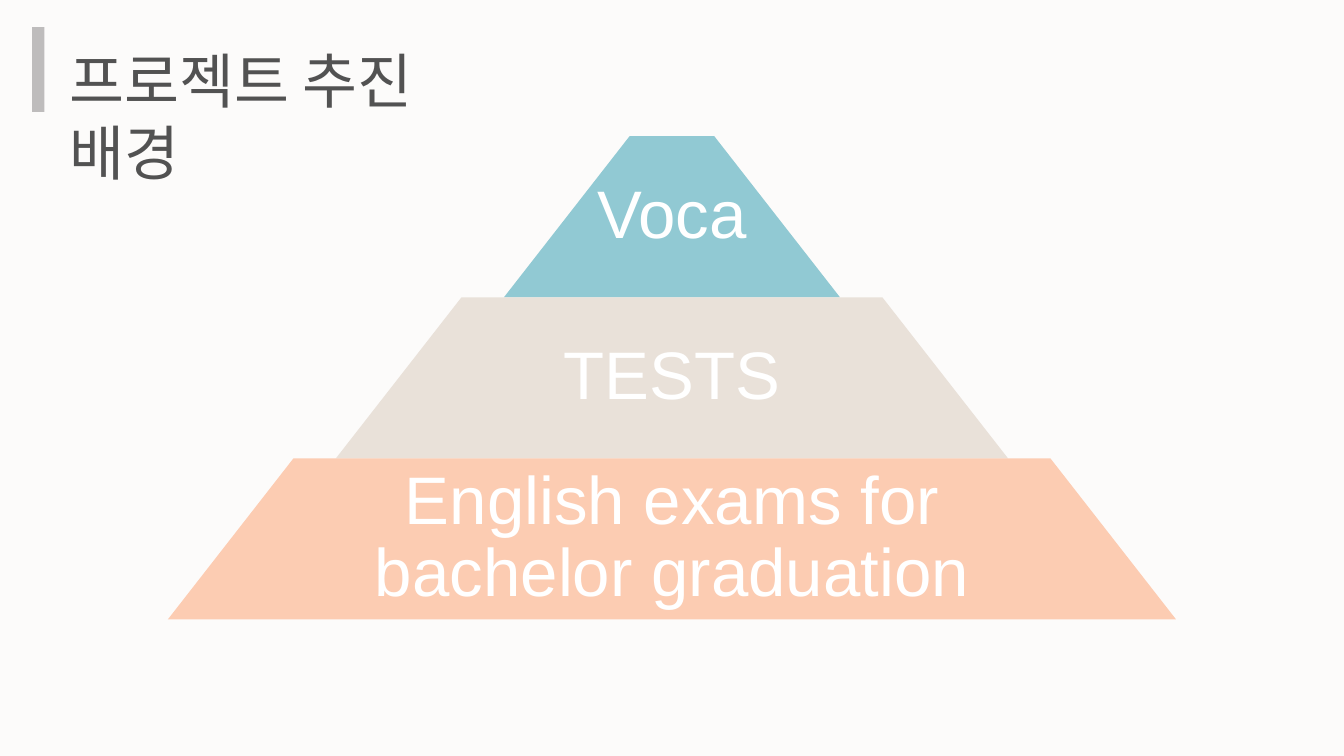
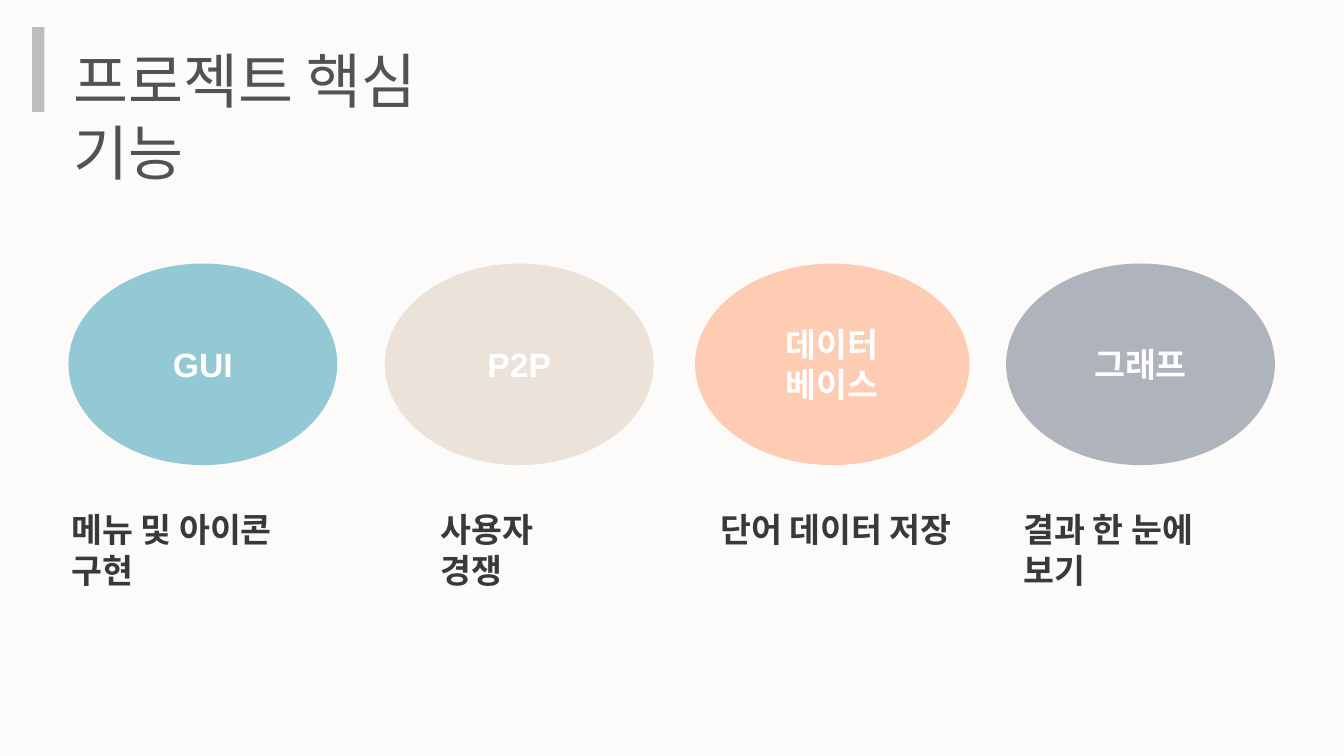
import pptx
import pptx.util
import pptx.dml.color
import pptx.enum.shapes
import pptx.enum.text
from dataclasses import dataclass

Pt = pptx.util.Pt
SHAPE = pptx.enum.shapes.MSO_SHAPE
ALIGN = pptx.enum.text.PP_ALIGN
ANCHOR = pptx.enum.text.MSO_ANCHOR


@dataclass(frozen=True)
class Theme:
    """Colours, fonts and type sizes shared by the slides."""
    background: str = "FCFBFA"
    title: str = "525252"
    bar: str = "BEBCBC"
    caption: str = "3A3838"
    white: str = "FFFFFF"
    tiers: tuple = ("91C9D3", "E9E1D9", "FCCCB2")
    features: tuple = ("93C9D4", "EBE2D9", "FECCB3", "AFB3BC")
    title_font: str = "Roboto"
    body_font: str = "Arial"
    title_size: int = 32
    tier_size: int = 36
    feature_size: int = 18


THEME = Theme()


def rgb(value):
    """Turn a hex string into a colour."""
    return pptx.dml.color.RGBColor.from_string(value)


def write(sp, text, *, size, color, font=THEME.body_font, bold=False,
          align=ALIGN.LEFT, anchor=ANCHOR.TOP, spacing=None, side=7.2):
    """Put formatted text in a shape, one paragraph per line."""
    tf = sp.text_frame
    tf.word_wrap = True
    tf.vertical_anchor = anchor
    tf.margin_left = tf.margin_right = Pt(side)
    tf.margin_top = tf.margin_bottom = Pt(3.6)
    for i, line in enumerate(text.split("\n")):
        p = tf.add_paragraph() if i else tf.paragraphs[0]
        p.alignment = align
        if spacing:
            p.line_spacing = spacing
        r = p.add_run()
        r.text = line
        r.font.name = font
        r.font.size = Pt(size)
        r.font.bold = bold
        r.font.color.rgb = rgb(color)


def add_text(s, x, y, w, h, text, **style):
    """Add a text box."""
    sp = s.shapes.add_textbox(Pt(x), Pt(y), Pt(w), Pt(h))
    write(sp, text, **style)


def add_block(s, kind, x, y, w, h, fill):
    """Add a flat filled shape without outline or shadow."""
    sp = s.shapes.add_shape(kind, Pt(x), Pt(y), Pt(w), Pt(h))
    sp.shadow.inherit = False
    sp.fill.solid()
    sp.fill.fore_color.rgb = rgb(fill)
    sp.line.fill.background()
    return sp


def add_slide(prs, title, title_x):
    """Start a slide with the background, side bar and title."""
    s = prs.slides.add_slide(prs.slide_layouts[6])
    s.background.fill.solid()
    s.background.fill.fore_color.rgb = rgb(THEME.background)
    add_block(s, SHAPE.RECTANGLE, 17.2, 14.6, 6.7, 45.4, THEME.bar)
    add_text(s, title_x, 20, 244, 34.6, title, size=THEME.title_size,
             color=THEME.title, font=THEME.title_font)
    return s


def add_pyramid(s, tiers):
    """Stack trapezoids that widen evenly towards the base."""
    center, top, step, h = 360, 73, 180, 86.25
    for i, (label, share) in enumerate(tiers):
        w, y = step * (i + 1), top + h * i
        sp = add_block(s, SHAPE.TRAPEZOID, center - w / 2, y, w, h, THEME.tiers[i])
        sp.adjustments[0] = 0.78
        label_w = w * share
        add_text(s, center - label_w / 2, y, label_w, h, label,
                 size=THEME.tier_size, color=THEME.white, align=ALIGN.CENTER,
                 anchor=ANCHOR.MIDDLE, spacing=0.9, side=3.6)


def add_feature(s, fill, label, x, w, caption, caption_x, caption_w):
    """Add a labelled ellipse and the caption below it."""
    sp = add_block(s, SHAPE.OVAL, x, 141.2, w, 108, fill)
    write(sp, label, size=THEME.feature_size, color=THEME.white, bold=True,
          align=ALIGN.CENTER, anchor=ANCHOR.MIDDLE)
    add_text(s, caption_x, 269.3, caption_w, 21.6, caption,
             size=THEME.feature_size, color=THEME.caption, bold=True)


def main():
    """Build and save the slides."""
    prs = pptx.Presentation()
    prs.slide_width, prs.slide_height = Pt(720), Pt(405)

    s = add_slide(prs, "프로젝트 추진 배경", 30.2)
    add_pyramid(s, [("Voca", 1), ("TESTS", 0.65),
                    ("English exams for bachelor graduation", 0.65)])

    s = add_slide(prs, "프로젝트 핵심 기능", 32.4)
    features = [
        ("GUI", 36.7, 144, "메뉴 및 아이콘 구현", 31, 156),
        ("P2P", 206.2, 144, "사용자 경쟁", 229, 99.4),
        ("데이터\n베이스", 372.4, 147, "단어 데이터 저장", 378.7, 139.7),
        ("그래프", 539, 144, "결과 한 눈에 보기", 541.2, 139.7),
    ]
    for fill, feature in zip(THEME.features, features):
        add_feature(s, fill, *feature)

    prs.save("out.pptx")


if __name__ == "__main__":
    main()
